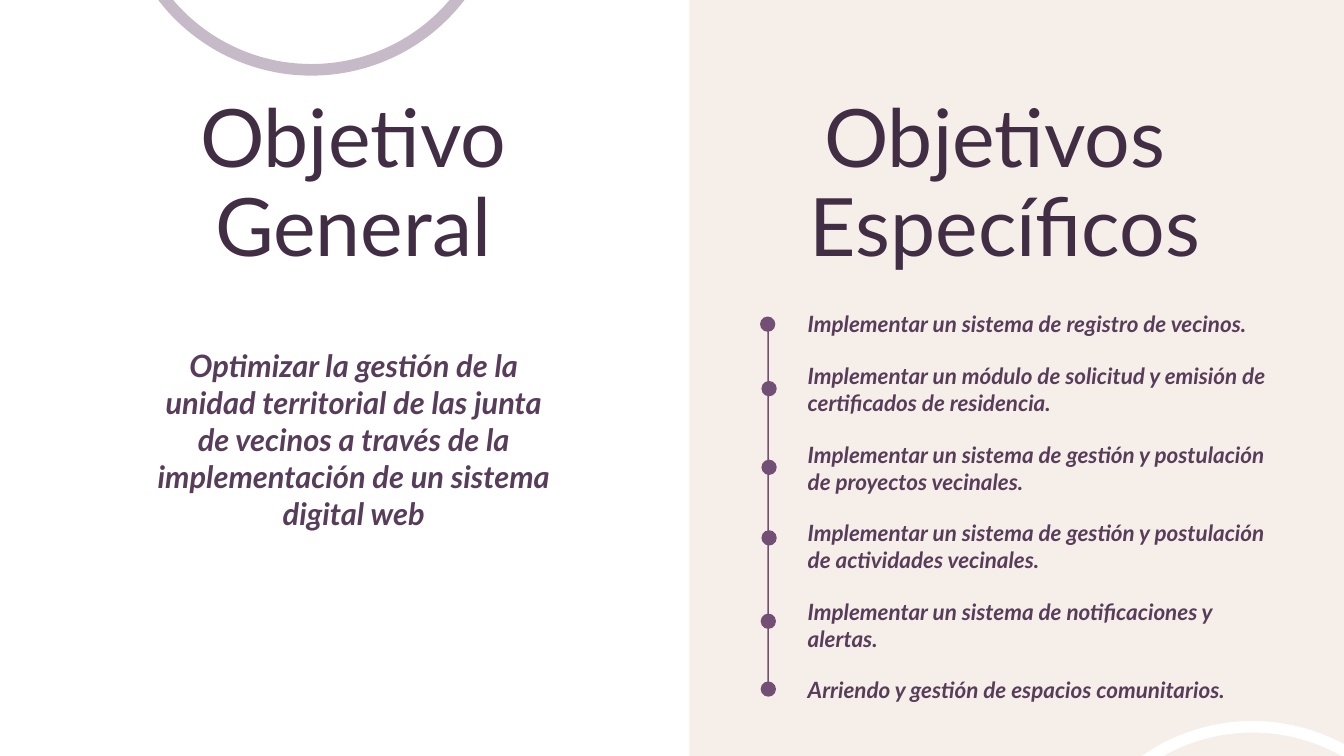
from dataclasses import dataclass

import pptx
import pptx.dml.color
import pptx.enum.shapes
import pptx.enum.text
import pptx.oxml
import pptx.oxml.ns
import pptx.util

Pt = pptx.util.Pt
Shape = pptx.enum.shapes.MSO_SHAPE
Align = pptx.enum.text.PP_ALIGN

COLORS = {
    "background": "F6EEE8",
    "panel": "FFFFFF",
    "accent": "725076",
    "title": "412D44",
    "body": "583D5B",
}
FORMATS = {
    "title": {"name": "Lato", "size": Pt(86.3), "bold": False, "italic": False},
    "general": {"name": "Lato", "size": Pt(33), "bold": True, "italic": True},
    "specific": {"name": "Lato", "size": Pt(24), "bold": True, "italic": True},
}
FRAME_FORMAT = {
    "margin_left": 0,
    "margin_right": 0,
    "margin_top": 0,
    "margin_bottom": 0,
    "word_wrap": True,
    "auto_size": pptx.enum.text.MSO_AUTO_SIZE.SHAPE_TO_FIT_TEXT,
}
DOT_SIZE = 16.4
RING_SIZE = 413.2
RING_THICKNESS = 0.03
LINE_HEIGHT = 28.4
OBJECTIVE_GAP = 27.3
OBJECTIVES_TOP = 332.6


@dataclass
class Box:
    left: float
    top: float
    width: float
    height: float

    def lengths(self) -> list:
        return [Pt(value) for value in (self.left, self.top, self.width, self.height)]


@dataclass
class TextBlock:
    box: Box
    lines: list[str]
    style: str
    color: str
    spacing: float
    alignment: Align


@dataclass
class Objective:
    text: str
    line_count: int
    dot_left: float
    dot_top: float


OBJECTIVES = [
    Objective("Implementar un sistema de registro de vecinos.", 1, 814.3, 339.1),
    Objective("Implementar un módulo de solicitud y emisión de certificados de residencia.", 2, 815.8, 408.2),
    Objective("Implementar un sistema de gestión y postulación de proyectos vecinales.", 2, 815.8, 492.5),
    Objective("Implementar un sistema de gestión y postulación de actividades vecinales.", 2, 815.8, 568.1),
    Objective("Implementar un sistema de notificaciones y alertas.", 2, 815, 657.4),
    Objective("Arriendo y gestión de espacios comunitarios.", 1, 815, 730.1),
]
TITLES = [
    TextBlock(Box(left, 102.2, 524.9, 190.8), lines, "title", "title", 95, Align.CENTER)
    for left, lines in [
        (115.9, ["Objetivo", "General"]),
        (814.3, ["Objetivos ", "Específicos"]),
    ]
]
GENERAL_OBJECTIVE = TextBlock(
    Box(167, 371.5, 424.1, 195.8),
    [
        "Optimizar la gestión de la unidad territorial de las junta de vecinos "
        "a través de la implementación de un sistema digital web"
    ],
    "general", "body", 39.6, Align.CENTER,
)


def rgb(color: str) -> pptx.dml.color.RGBColor:
    return pptx.dml.color.RGBColor.from_string(COLORS[color])


def apply_format(target, values: dict) -> None:
    for name, value in values.items():
        setattr(target, name, value)


def draw_shape(slide, kind: Shape, box: Box, color: str):
    shape = slide.shapes.add_shape(kind, *box.lengths())
    shape.shadow.inherit = False
    shape.fill.solid()
    shape.fill.fore_color.rgb = rgb(color)
    shape.line.fill.background()
    return shape


def draw_ring(slide, left: float, top: float, color: str, opacity: int = 100) -> None:
    ring = draw_shape(slide, Shape.DONUT, Box(left, top, RING_SIZE, RING_SIZE), color)
    ring.adjustments[0] = RING_THICKNESS
    if opacity < 100:
        fill_color = ring.fill._xPr.find(".//" + pptx.oxml.ns.qn("a:srgbClr"))
        alpha = pptx.oxml.parse_xml(f'<a:alpha {pptx.oxml.ns.nsdecls("a")} val="{opacity * 1000}"/>')
        fill_color.append(alpha)


def draw_text(slide, block: TextBlock) -> None:
    frame = slide.shapes.add_textbox(*block.box.lengths()).text_frame
    apply_format(frame, FRAME_FORMAT)
    for index, line in enumerate(block.lines):
        paragraph = frame.add_paragraph() if index else frame.paragraphs[0]
        paragraph.alignment = block.alignment
        paragraph.line_spacing = Pt(block.spacing)
        run = paragraph.add_run()
        run.text = line
        apply_format(run.font, FORMATS[block.style])
        run.font.color.rgb = rgb(block.color)


def draw_objectives(slide) -> None:
    draw_shape(slide, Shape.RECTANGLE, Box(822.2, 347.6, 1.5, 390.9), "accent")
    top = OBJECTIVES_TOP
    for objective in OBJECTIVES:
        dot = Box(objective.dot_left, objective.dot_top, DOT_SIZE, DOT_SIZE)
        draw_shape(slide, Shape.OVAL, dot, "accent")
        height = objective.line_count * LINE_HEIGHT
        box = Box(865.4, top, 493.2, height)
        draw_text(slide, TextBlock(box, [objective.text], "specific", "body", 28.8, Align.LEFT))
        top += height + OBJECTIVE_GAP


def main() -> None:
    presentation = pptx.Presentation()
    presentation.slide_width = Pt(1440)
    presentation.slide_height = Pt(810)
    slide = presentation.slides.add_slide(presentation.slide_layouts[6])
    slide.background.fill.solid()
    slide.background.fill.fore_color.rgb = rgb("background")

    draw_shape(slide, Shape.RECTANGLE, Box(-179.3, -23.8, 918, 882.7), "panel")
    draw_ring(slide, 1135.4, 772.5, "panel")
    draw_ring(slide, 127, -332.2, "accent", 40)
    for title in TITLES:
        draw_text(slide, title)
    draw_text(slide, GENERAL_OBJECTIVE)
    draw_objectives(slide)
    presentation.save("out.pptx")


if __name__ == "__main__":
    main()
